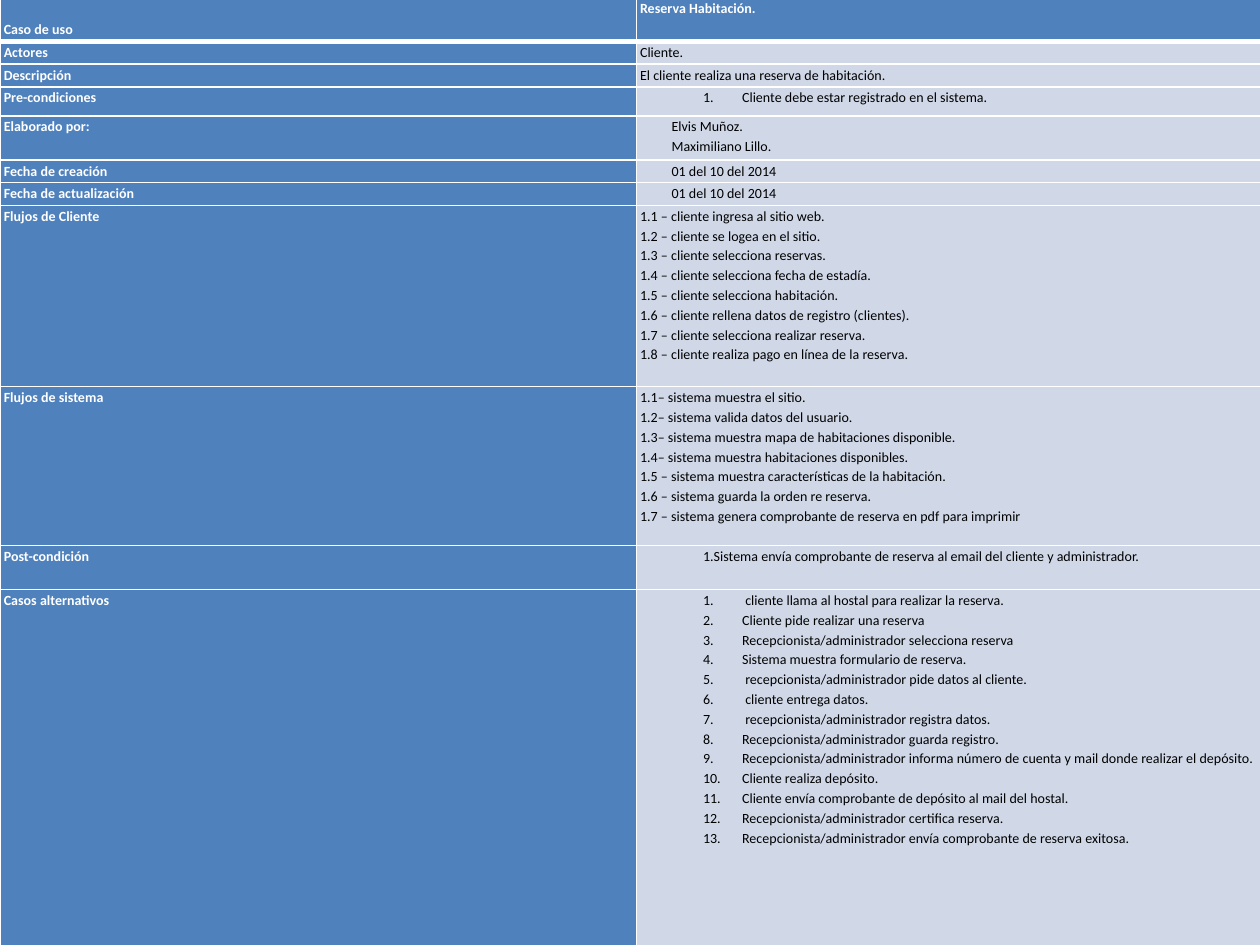
from lxml.etree import SubElement
from pptx import Presentation
from pptx.dml.color import RGBColor
from pptx.enum.text import MSO_ANCHOR
from pptx.oxml.ns import qn
from pptx.util import Inches, Pt

COLORS = {"blue": "4F81BD", "pale": "D0D8E8", "white": "FFFFFF", "black": "000000"}
COLUMN_WIDTHS = (5.05, 5.07)
PLAIN = {}
INDENTED = {"margin": 0.25}
NESTED = {"margin": 0.5, "level": 1}
NUMBERED = {"margin": 0.81, "hanging": 0.31, "level": 1, "numbered": True}

ROWS = [
    (0.35, "Caso de uso", PLAIN, ["Reserva Habitación."]),
    (0.18, "Actores", PLAIN, ["Cliente."]),
    (0.18, "Descripción", PLAIN, ["El cliente realiza una reserva de habitación."]),
    (0.23, "Pre-condiciones", NUMBERED, ["Cliente debe estar registrado en el sistema."]),
    (0.35, "Elaborado por:", INDENTED, ["Elvis Muñoz.", "Maximiliano Lillo."]),
    (0.18, "Fecha de creación", INDENTED, ["01 del 10 del 2014"]),
    (0.18, "Fecha de actualización", INDENTED, ["01 del 10 del 2014"]),
    (1.44, "Flujos de Cliente", PLAIN, [
        "1.1 – cliente ingresa al sitio web.",
        "1.2 – cliente se logea en el sitio.",
        "1.3 – cliente selecciona reservas.",
        "1.4 – cliente selecciona fecha de estadía.",
        "1.5 – cliente selecciona habitación.",
        "1.6 – cliente rellena datos de registro (clientes).",
        "1.7 – cliente selecciona realizar reserva.",
        "1.8 – cliente realiza pago en línea de la reserva.",
    ]),
    (1.26, "Flujos de sistema", PLAIN, [
        "1.1– sistema muestra el sitio.",
        "1.2– sistema valida datos del usuario.",
        "1.3– sistema muestra mapa de habitaciones disponible.",
        "1.4– sistema muestra habitaciones disponibles.",
        "1.5 – sistema muestra características de la habitación.",
        "1.6 – sistema guarda la orden re reserva.",
        "1.7 – sistema genera comprobante de reserva en pdf para imprimir",
    ]),
    (0.35, "Post-condición", NESTED, [
        "1.Sistema envía comprobante de reserva al email del cliente y administrador.",
    ]),
    (2.87, "Casos alternativos", NUMBERED, [
        " cliente llama al hostal para realizar la reserva.",
        "Cliente pide realizar una reserva",
        "Recepcionista/administrador selecciona reserva",
        "Sistema muestra formulario de reserva.",
        " recepcionista/administrador pide datos al cliente.",
        " cliente entrega datos.",
        " recepcionista/administrador registra datos.",
        "Recepcionista/administrador guarda registro.",
        "Recepcionista/administrador informa número de cuenta y mail donde realizar el depósito.",
        "Cliente realiza depósito.",
        "Cliente envía comprobante de depósito al mail del hostal.",
        "Recepcionista/administrador certifica reserva.",
        "Recepcionista/administrador envía comprobante de reserva exitosa.",
    ]),
]


def rgb(name):
    """Return the named colour."""
    return RGBColor.from_string(COLORS[name])


def add_borders(cell, top=1, bottom=1):
    """Draw white lines, with widths in points, around a cell."""
    properties = cell._tc.get_or_add_tcPr()
    for side, width in {"L": 1, "R": 1, "T": top, "B": bottom}.items():
        line = SubElement(properties, qn(f"a:ln{side}"), w=str(Pt(width)))
        fill = SubElement(line, qn("a:solidFill"))
        SubElement(fill, qn("a:srgbClr"), val=COLORS["white"])


def write_paragraph(para, text, color="black", bold=False, margin=0, hanging=0,
                    level=0, numbered=False):
    """Write one formatted line of text into a paragraph."""
    para.line_spacing = 1.15
    para.level = level
    properties = para._p.get_or_add_pPr()
    properties.set("marL", str(Inches(margin)))
    properties.set("indent", str(-Inches(hanging)))
    if numbered:
        SubElement(properties, qn("a:buAutoNum"), type="arabicPeriod")
    span = para.add_run()
    span.text = text
    span.font.name = "Calibri"
    span.font.size = Pt(8)
    span.font.bold = bold
    span.font.color.rgb = rgb(color)


def fill_cell(cell, lines, fill, **text_format):
    """Give a cell its margins, fill and paragraphs."""
    cell.margin_left = cell.margin_right = Inches(0.03)
    cell.margin_top = cell.margin_bottom = 0
    cell.fill.solid()
    cell.fill.fore_color.rgb = rgb(fill)
    frame = cell.text_frame
    for index, line in enumerate(lines):
        para = frame.add_paragraph() if index else frame.paragraphs[0]
        write_paragraph(para, line, **text_format)


def add_use_case_table(page):
    """Add the two-column use case table."""
    height = sum(row[0] for row in ROWS)
    table = page.shapes.add_table(
        len(ROWS), len(COLUMN_WIDTHS), Inches(0), Inches(-0.02),
        Inches(sum(COLUMN_WIDTHS)), Inches(height)).table
    for column, width in zip(table.columns, COLUMN_WIDTHS):
        column.width = Inches(width)
    heading = {"fill": "blue", "color": "white", "bold": True}
    for index, (row_height, label, layout, lines) in enumerate(ROWS):
        table.rows[index].height = Inches(row_height)
        label_cell, detail_cell = table.cell(index, 0), table.cell(index, 1)
        for cell in (label_cell, detail_cell):
            add_borders(cell, top=3 if index == 1 else 1, bottom=1 if index else 3)
        fill_cell(label_cell, [label], **heading)
        fill_cell(detail_cell, lines, **({"fill": "pale"} if index else heading), **layout)
    title_cell = table.cell(0, 0)
    title_cell.vertical_anchor = MSO_ANCHOR.BOTTOM
    title_cell.margin_bottom = Inches(0.03)


def main():
    """Build and save the slide."""
    deck = Presentation()
    deck.slide_width, deck.slide_height = Inches(10), Inches(7.5)
    page = deck.slides.add_slide(deck.slide_layouts[6])
    add_use_case_table(page)
    deck.save("out.pptx")


if __name__ == "__main__":
    main()
